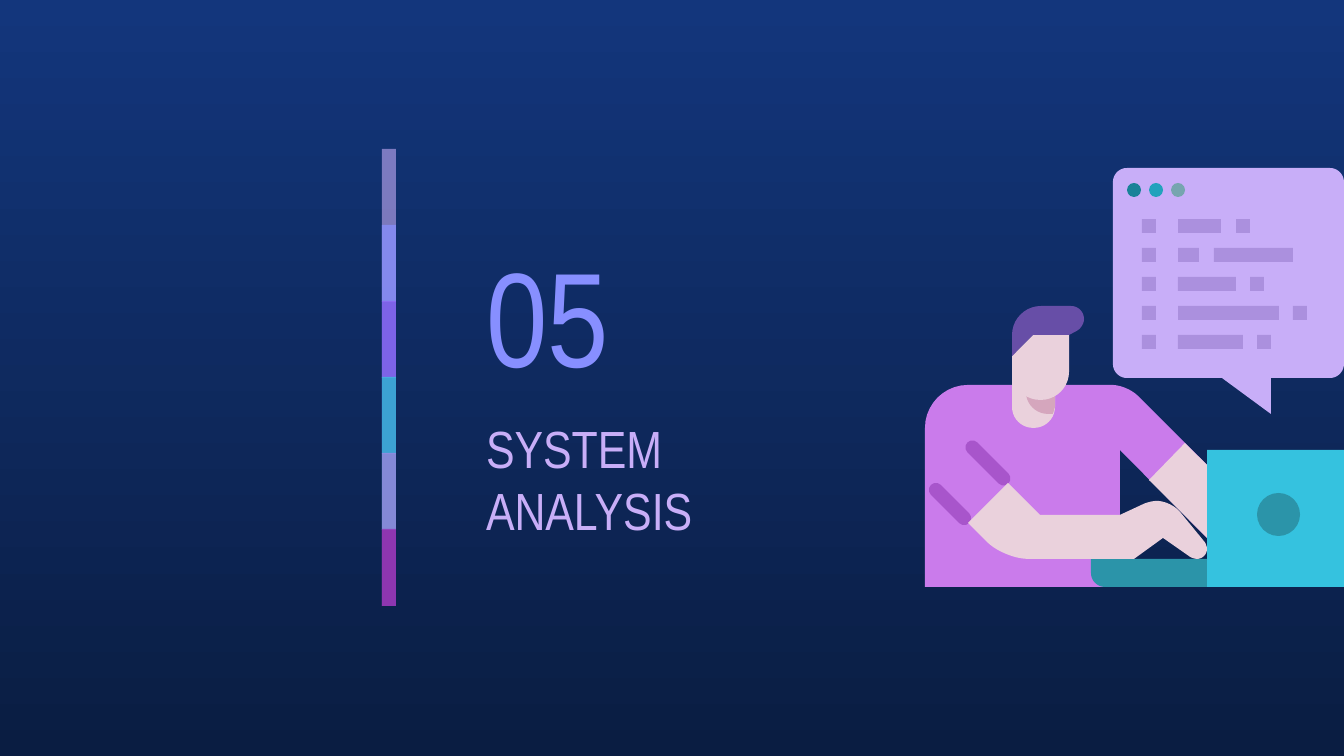
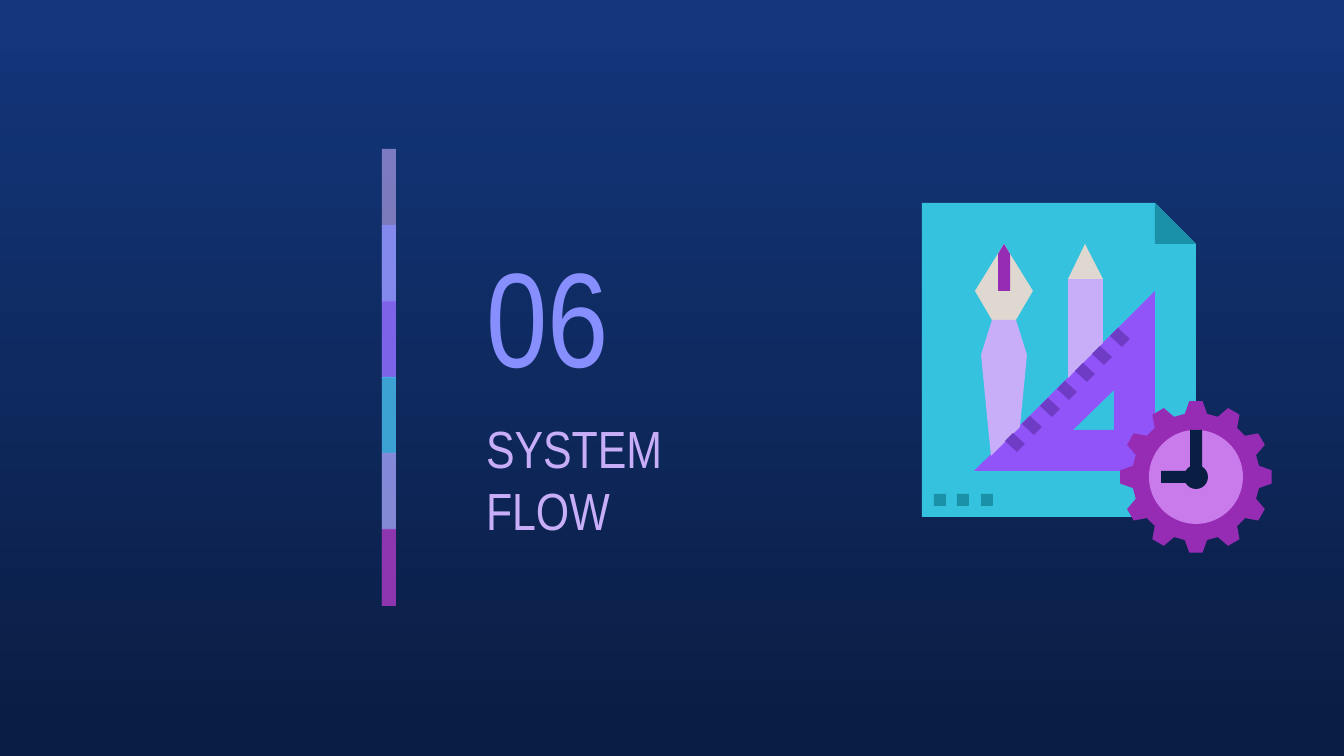
from math import cos, radians, sin

from lxml.etree import SubElement
from pptx import Presentation
from pptx.dml.color import RGBColor as RGB
from pptx.enum.shapes import MSO_SHAPE as SHAPE
from pptx.enum.text import MSO_ANCHOR as ANCHOR
from pptx.oxml.ns import qn
from pptx.util import Pt

PX = 914400 / 134.4  # EMU in one px
FONT = "Arial Narrow"
C = {
    "sky": "13367C", "night": "0A1D42", "blue": "878FFF", "lilac": "C8AEF8",
    "violet": "9154F8", "indigo": "6F3CC6", "cyan": "35C2DF", "purple": "972CB4",
    "orchid": "CA7BEB", "cuff": "A855CB", "skin": "EAD1DC", "shade": "D5A6BD",
    "hair": "674EA7", "code": "AB90DE", "teal": "2B94A9", "fold": "1B91A9",
    "ivory": "DED8D0", "dot1": "198298", "dot2": "22A2BC", "dot3": "76A5AF",
}
# Colour and opacity in percent, from top to bottom
BAND = [("lilac", 59), ("blue", 74), ("violet", 53),
        ("cyan", 76), ("orchid", 56), ("purple", 74)]


def emu(px):
    return round(px * PX)


# --- Element kinds ---
def paint(sp, color):
    sp.fill.solid()
    sp.fill.fore_color.rgb = RGB.from_string(C[color])
    sp.line.fill.background()
    sp.shadow.inherit = False
    return sp


def preset(s, kind, color, x, y, w, h):
    return paint(s.shapes.add_shape(kind, emu(x), emu(y), emu(w), emu(h)), color)


def rect(s, color, x, y, w, h):
    return preset(s, SHAPE.RECTANGLE, color, x, y, w, h)


def circle(s, color, x, y, d):
    return preset(s, SHAPE.OVAL, color, x, y, d, d)


def capsule(s, color, x, y, w, h, angle):
    sp = preset(s, SHAPE.ROUNDED_RECTANGLE, color, x, y, w, h)
    sp.adjustments[0] = 0.5
    sp.rotation = angle


def toward(a, b, dist):
    """Point at a distance from a on the way to b."""
    dx, dy = b[0] - a[0], b[1] - a[1]
    k = dist / (dx * dx + dy * dy) ** 0.5
    return a[0] + dx * k, a[1] + dy * k


def round_corner(before, corner, after, dist, steps=10):
    """Curve that replaces a corner, starting dist before it."""
    curve = (toward(corner, before, dist), toward(corner, before, dist * 0.45),
             toward(corner, after, dist * 0.45), toward(corner, after, dist))
    for i in range(steps + 1):
        t = i / steps
        weights = ((1 - t) ** 3, 3 * t * (1 - t) ** 2, 3 * t * t * (1 - t), t ** 3)
        yield tuple(sum(w * p[axis] for w, p in zip(weights, curve)) for axis in (0, 1))


def contour(points):
    """Expand each (x, y, dist) into a rounded corner."""
    result = []
    for i, pt in enumerate(points):
        if len(pt) == 3:
            after = points[(i + 1) % len(points)]
            result += round_corner(points[i - 1], pt, after, pt[2])
        else:
            result.append(pt)
    return [(emu(x), emu(y)) for x, y in result]


def outline(s, color, *contours):
    """Filled outline; further contours are holes."""
    first, *holes = map(contour, contours)
    builder = s.shapes.build_freeform(*first[0])
    builder.add_line_segments(first[1:])
    for hole in holes:
        builder.move_to(*hole[0])
        builder.add_line_segments(hole[1:])
    paint(builder.convert_to_shape(), color)


def label(s, text, size, color, x, y, w, h, anchor=ANCHOR.TOP):
    tf = s.shapes.add_textbox(emu(x), emu(y), emu(w), emu(h)).text_frame
    tf.word_wrap = True
    tf.vertical_anchor = anchor
    tf.margin_left = tf.margin_right = tf.margin_top = tf.margin_bottom = emu(13)
    p = tf.paragraphs[0]
    p.text = text
    p.font.name, p.font.size = FONT, Pt(size)
    p.font.color.rgb = RGB.from_string(C[color])


# --- Shared section design ---
def color_band(s):
    for i, (color, opacity) in enumerate(BAND):
        height = 77 if i == len(BAND) - 1 else 153
        sp = rect(s, color, 382, 149 + 76 * i, 14, height)
        clr = sp.fill._xPr.find(".//" + qn("a:srgbClr"))
        SubElement(clr, qn("a:alpha")).set("val", str(opacity * 1000))


def section_slide(prs, number, title):
    s = prs.slides.add_slide(prs.slide_layouts[6])
    fill = s.background.fill
    fill.gradient()
    fill.gradient_angle = 270
    for stop, color, position in zip(fill.gradient_stops, ("sky", "night"), (0, 1)):
        stop.color.rgb = RGB.from_string(C[color])
        stop.position = position
    label(s, number, 72, "blue", 473, 223, 235, 181, ANCHOR.MIDDLE)
    label(s, title, 28, "lilac", 473, 403, 386, 129)
    return s


# --- Programmer at a laptop ---
def programmer(s):
    # Torso and cuffs
    outline(s, "orchid", [(925, 385, 43), (925, 587), (1120, 587), (1120, 450),
                          (1207, 538), (1207, 465), (1127, 385, 15)])
    capsule(s, "cuff", 923, 497, 54, 14, 45)
    capsule(s, "cuff", 959, 456, 58, 14, 45)
    # Laptop
    rect(s, "cyan", 1207, 450, 137, 137)
    outline(s, "teal", [(1091, 559), (1091, 587, 14), (1207, 587), (1207, 559)])
    # Neck
    outline(s, "skin", [(1012, 363), (1012, 428, 21), (1055, 428, 21), (1055, 363)])
    outline(s, "shade", [(1026, 363), (1026, 414, 22), (1053, 414),
                         (1055, 407), (1055, 363)])
    # Arms
    outline(s, "skin", [(1008, 483), (968, 523), (1004, 559, 24), (1134, 559),
                        (1163, 538), (1193, 559, 4), (1207, 559, 10), (1207, 545, 4),
                        (1171, 501, 14), (1150, 501, 7), (1120, 515), (1040, 515)])
    outline(s, "skin", [(1185, 443), (1149, 480), (1207, 538), (1207, 465)])
    circle(s, "teal", 1257, 493, 43)
    code_bubble(s)
    # Head
    outline(s, "skin", [(1033, 335), (1012, 356), (1012, 400, 28),
                        (1069, 400, 28), (1069, 335)])
    outline(s, "hair", [(1012, 306, 29), (1012, 356), (1033, 335), (1069, 335),
                        (1084, 327, 8), (1084, 306, 13)])


def code_bubble(s):
    outline(s, "lilac", [(1113, 168, 14), (1113, 378, 14), (1222, 378), (1271, 414),
                         (1271, 378), (1344, 378, 14), (1344, 168, 14)])
    # Left edge and width of the words in each code line
    lines = [[(1178, 43), (1236, 14)], [(1178, 21), (1214, 79)],
             [(1178, 58), (1250, 14)], [(1178, 101), (1293, 14)],
             [(1178, 65), (1257, 14)]]
    for row, words in enumerate(lines):
        for x, w in [(1142, 14)] + words:
            rect(s, "code", x, 219 + 29 * row, w, 14)
    for i, color in enumerate(("dot1", "dot2", "dot3")):
        circle(s, color, 1127 + 22 * i, 183, 14)


# --- Design sheet with tools and a clock ---
def design_sheet(s):
    # Paper
    outline(s, "cyan", [(922, 203), (922, 517), (1196, 517), (1196, 244), (1155, 203)])
    outline(s, "fold", [(1155, 203), (1155, 244), (1196, 244)])
    # Set square
    outline(s, "violet", [(1155, 291), (974, 471), (1155, 471)],
            [(1114, 390), (1114, 430), (1073, 430)])
    gear_clock(s, 1196, 477)
    # Pencil
    outline(s, "ivory", [(1085, 244), (1068, 279), (1103, 279)])
    outline(s, "lilac", [(1068, 279), (1068, 378), (1103, 343), (1103, 279)])
    # Pen
    outline(s, "ivory", [(1004, 244), (975, 291), (992, 320), (1016, 320), (1033, 291)])
    outline(s, "lilac", [(992, 320), (981, 355), (991, 456), (1020, 427),
                         (1027, 355), (1016, 320)])
    outline(s, "purple", [(1004, 244), (998, 254), (998, 291), (1010, 291), (1010, 254)])
    # Ruler marks
    tick = [(1013, 433), (1005, 441), (1017, 452), (1025, 444)]
    for i in range(7):
        shift = 35 * i // 2
        outline(s, "indigo", [(x + shift, y - shift) for x, y in tick])
    for i in range(3):
        rect(s, "fold", 934 + 47 * i // 2, 494, 12, 12)


def gear_clock(s, cx, cy):
    teeth = []
    for center in range(0, 360, 30):
        for offset, radius in ((-10, 64), (-5, 76), (5, 76), (10, 64)):
            a = radians(center + offset)
            teeth.append((cx + radius * sin(a), cy - radius * cos(a)))
    outline(s, "purple", teeth)
    circle(s, "orchid", cx - 47, cy - 47, 94)
    outline(s, "night", [(cx - 6, cy - 47), (cx - 6, cy - 6), (cx - 35, cy - 6),
                         (cx - 35, cy + 6), (cx + 6, cy + 6), (cx + 6, cy - 47)])
    circle(s, "night", cx - 12, cy - 12, 24)


def main():
    prs = Presentation()
    prs.slide_width, prs.slide_height = emu(1344), emu(756)
    sections = [("05", "SYSTEM\nANALYSIS", programmer),
                ("06", "SYSTEM\nFLOW", design_sheet)]
    for number, title, draw in sections:
        s = section_slide(prs, number, title)
        draw(s)
        color_band(s)
    prs.save("out.pptx")


if __name__ == "__main__":
    main()
